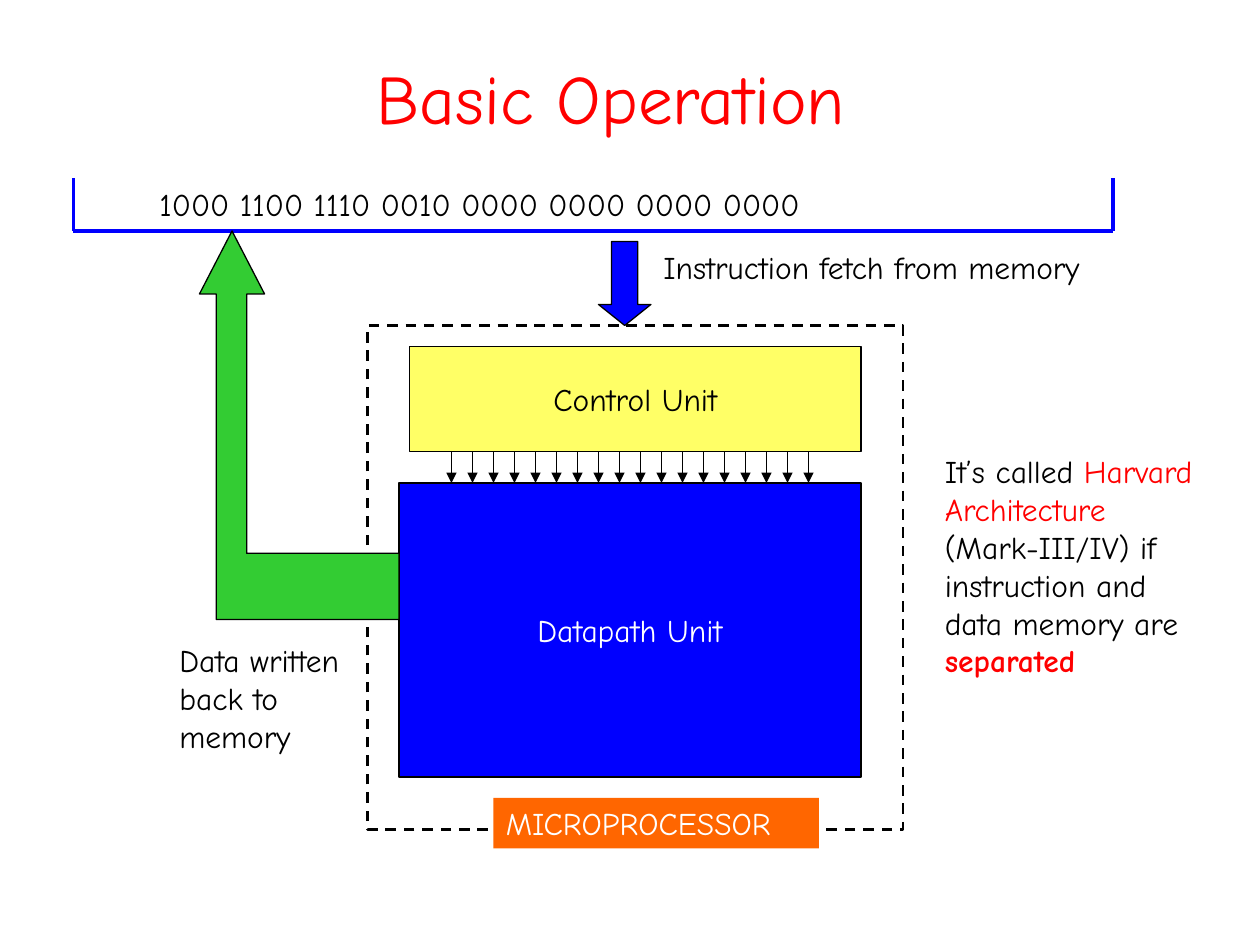
from lxml import etree
from pptx import Presentation, util as u
from pptx.dml.color import RGBColor
from pptx.enum import dml, shapes, text
from pptx.oxml.ns import qn

COLORS = {
    "black": "000000", "white": "FFFFFF", "red": "FF0000", "blue": "0000FF",
    "yellow": "FFFF66", "green": "33CC33", "orange": "FF6600",
}
CELL = u.Inches(1) // 12
COLUMNS, ROWS = 120, 90
MIDDLE = {"vertical_anchor": text.MSO_ANCHOR.MIDDLE}


def color(name):
    return RGBColor.from_string(COLORS[name])


def cells(*counts):
    return [u.Emu(round(count * CELL)) for count in counts]


class Diagram:
    font = "Comic Neue"
    size = 18

    def __init__(self, deck):
        self.slide = deck.slides.add_slide(deck.slide_layouts[5])

    def fill_text(self, box, spans, align="LEFT", size=size, **frame_format):
        frame = box.text_frame
        settings = {"word_wrap": True, "auto_size": text.MSO_AUTO_SIZE.NONE,
                    "vertical_anchor": text.MSO_ANCHOR.TOP, **frame_format}
        for name, value in settings.items():
            setattr(frame, name, value)
        para = frame.paragraphs[0]
        para.alignment = getattr(text.PP_ALIGN, align)
        for words, tint, bold in spans:
            span = para.add_run()
            span.text = words
            font_format = {"name": self.font, "size": u.Pt(size), "bold": bold}
            for name, value in font_format.items():
                setattr(span.font, name, value)
            span.font.color.rgb = color(tint)

    def title(self, words, *place):
        box = self.slide.shapes.title
        for name, value in zip(("left", "top", "width", "height"), cells(*place)):
            setattr(box, name, value)
        self.fill_text(box, [(words, "red", False)], "CENTER", 39.6, **MIDDLE)

    def label(self, spans, *place, wrap=True):
        box = self.slide.shapes.add_textbox(*cells(*place))
        self.fill_text(box, spans, word_wrap=wrap)

    def paint(self, shape, fill, line="black", weight=0.75):
        shape.shadow.inherit = False
        if fill:
            shape.fill.solid()
            shape.fill.fore_color.rgb = color(fill)
        else:
            shape.fill.background()
        if line:
            shape.line.color.rgb = color(line)
            shape.line.width = u.Pt(weight)
        else:
            shape.line.fill.background()
        return shape

    def block(self, fill, *place, kind="RECTANGLE", **style):
        preset = getattr(shapes.MSO_SHAPE, kind)
        return self.paint(self.slide.shapes.add_shape(preset, *cells(*place)), fill, **style)

    def outline(self, fill, points):
        start, *rest = [(x * 100, y * 100) for x, y in points]
        builder = self.slide.shapes.build_freeform(*start, scale=CELL / 100)
        builder.add_line_segments(rest, close=True)
        return self.paint(builder.convert_to_shape(), fill)

    def line(self, tint, weight, *ends, arrow=False):
        link = self.slide.shapes.add_connector(shapes.MSO_CONNECTOR.STRAIGHT, *cells(*ends))
        link.line.color.rgb = color(tint)
        link.line.width = u.Pt(weight)
        properties = link._element.spPr
        if arrow:
            etree.SubElement(properties.find(qn("a:ln")), qn("a:tailEnd"), type="triangle")
        etree.SubElement(properties, qn("a:effectLst"))


def main():
    deck = Presentation()
    deck.slide_width, deck.slide_height = cells(COLUMNS, ROWS)
    diagram = Diagram(deck)

    diagram.title("Basic Operation", 4.2, 4.2, 108, 10)
    diagram.label([(" 1000 1100 1110 0010 0000 0000 0000 0000", "black", False)],
                  13, 17, 104, 4.8)
    diagram.label([("Instruction fetch from memory", "black", False)],
                  62, 23, 47, 4.8, wrap=False)

    fetch = diagram.block("blue", 57, 23, 5, 8, kind="DOWN_ARROW")
    fetch.adjustments[0], fetch.adjustments[1] = 0.5, 0.4

    control = diagram.block("yellow", 39, 33, 43, 10)
    diagram.fill_text(control, [("Control Unit", "black", False)], "CENTER",
                      word_wrap=False, **MIDDLE)
    for column in range(43, 78, 2):
        diagram.line("black", 0.75, column, 43, column, 46, arrow=True)
    datapath = diagram.block("blue", 38, 46, 44, 28)
    diagram.fill_text(datapath, [("Datapath Unit", "white", False)], "CENTER",
                      word_wrap=False, **MIDDLE)

    processor = diagram.block(None, 35, 31, 51, 48, weight=1.5)
    processor.line.dash_style = dml.MSO_LINE.DASH

    left, right, top, bottom = 7, 106, 17, 22
    diagram.line("blue", 2.25, left, bottom, right, bottom)
    for side in (left, right):
        diagram.line("blue", 2.25, side, bottom, side, top)

    diagram.outline("green", [
        (22.1, 22), (25.2, 28), (23.5, 28), (23.5, 52.7), (38, 52.7),
        (38, 59), (20.6, 59), (20.6, 28), (19, 28),
    ])
    diagram.label([("Data written back to memory", "black", False)], 15.9, 60.5, 19.2, 15.7)
    diagram.label([
        ("It’s called ", "black", False),
        ("Harvard Architecture ", "red", False),
        ("(Mark-III/IV) if instruction and data memory are ", "black", False),
        ("separated", "red", True),
    ], 88.8, 42.5, 27.2, 26.6)

    name = diagram.block("orange", 47, 76, 31, 4.8, line=None)
    diagram.fill_text(name, [("MICROPROCESSOR", "white", False)], word_wrap=False)

    deck.save("out.pptx")


if __name__ == "__main__":
    main()
